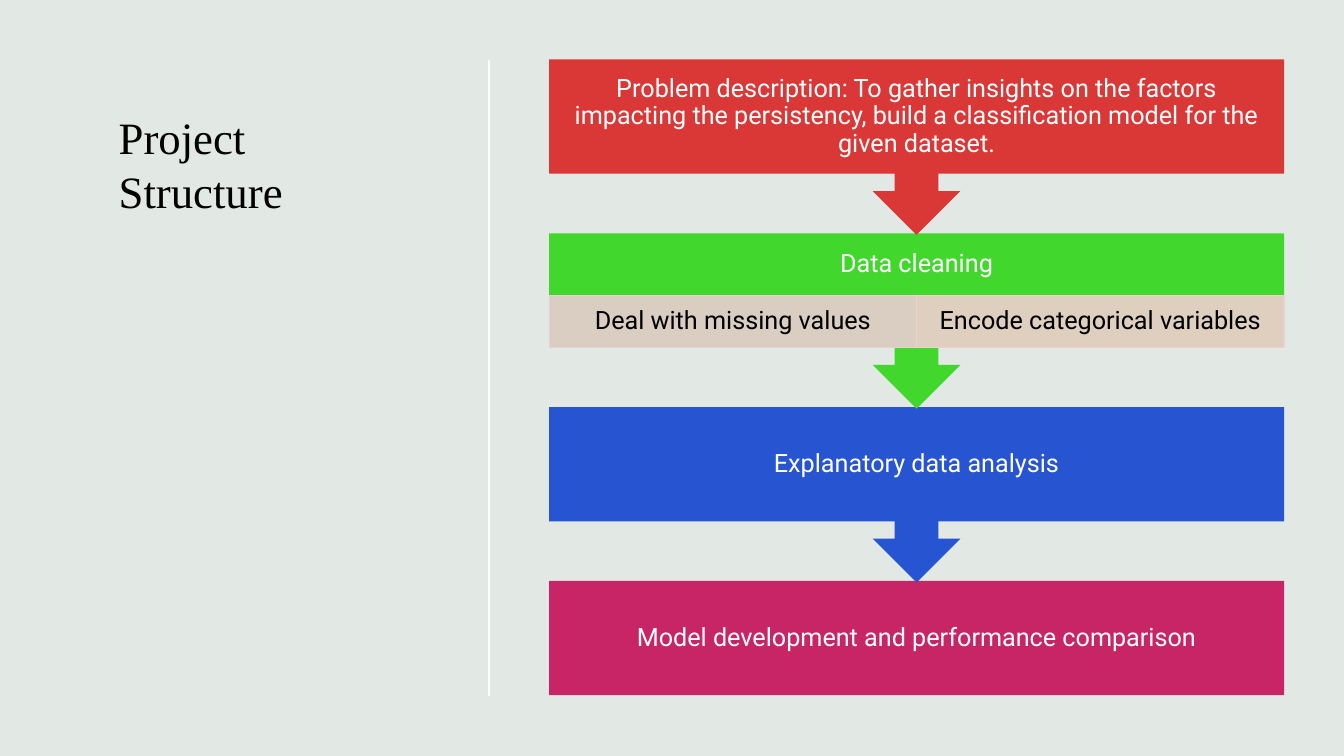
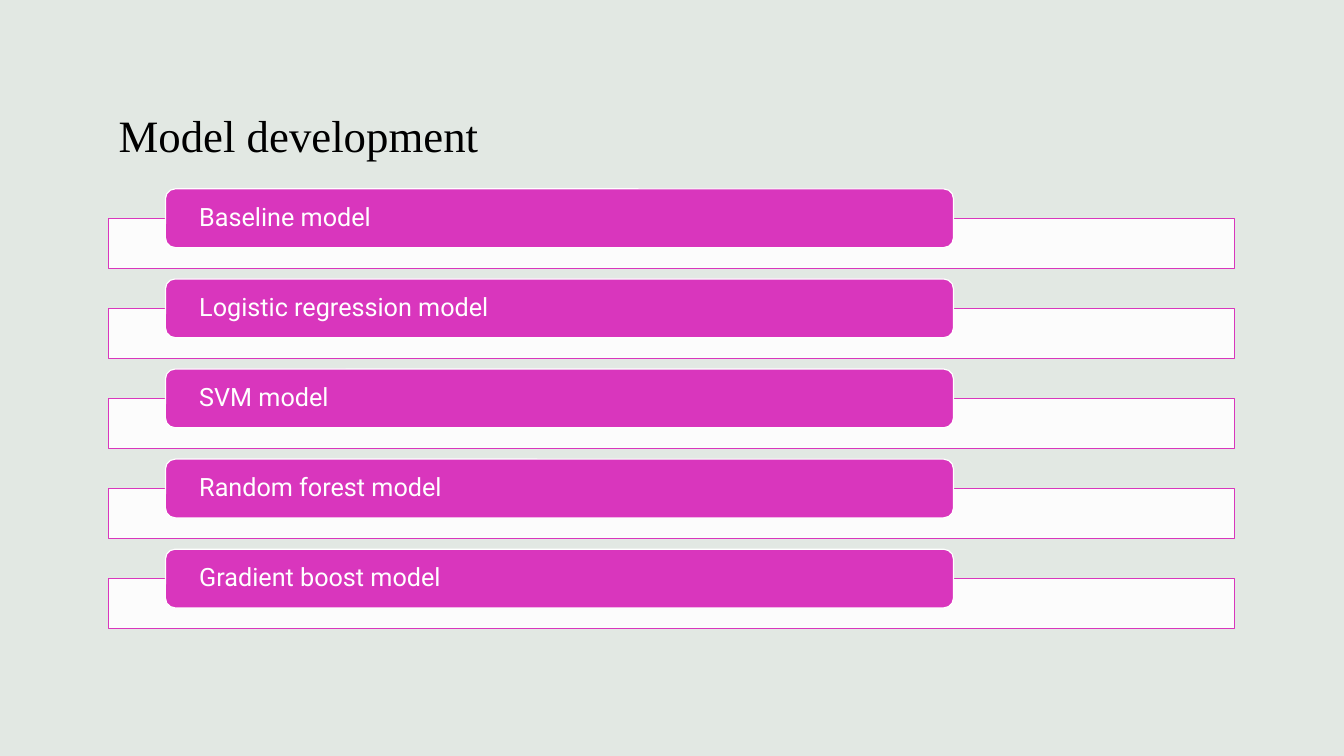
from lxml.etree import SubElement
from pptx import Presentation
from pptx.dml.color import RGBColor
from pptx.enum.shapes import MSO_CONNECTOR, MSO_SHAPE as Preset
from pptx.enum.text import MSO_ANCHOR as Anchor, PP_ALIGN as Align
from pptx.oxml.ns import qn
from pptx.util import Cm, Pt

BACKGROUND = RGBColor(0xE2, 0xE8, 0xE3)
WHITE = RGBColor(0xFF, 0xFF, 0xFF)
BLACK = RGBColor(0x00, 0x00, 0x00)
RED = RGBColor(0xD9, 0x38, 0x36)
GREEN = RGBColor(0x42, 0xD7, 0x2C)
BLUE = RGBColor(0x27, 0x54, 0xD1)
CRIMSON = RGBColor(0xC8, 0x25, 0x67)
MAGENTA = RGBColor(0xD9, 0x36, 0xBD)
PALE_PINK = RGBColor(0xEB, 0xCD, 0xD3)
PALE_ROSE = RGBColor(0xF1, 0xCF, 0xCE)

TITLE_FONT = {"name": "Times New Roman", "size": Pt(32)}
BODY_FONT = {"name": "Roboto", "size": Pt(18)}


def set_values(target, values):
    for name, value in values.items():
        setattr(target, name, value)


class Deck:
    """Holds the presentation, its style and the current slide."""

    def __init__(self):
        self.presentation = Presentation()
        set_values(self.presentation, {"slide_width": Cm(33.87), "slide_height": Cm(19.05)})
        self.slide = None

    def new_slide(self):
        self.slide = self.presentation.slides.add_slide(self.presentation.slide_layouts[6])
        fill = self.slide.background.fill
        fill.solid()
        fill.fore_color.rgb = BACKGROUND

    def add_text(self, shape, text, font, color, frame, paragraph_format):
        set_values(shape.text_frame, {"word_wrap": True, **frame})
        paragraph = shape.text_frame.paragraphs[0]
        set_values(paragraph, paragraph_format)
        run = paragraph.add_run()
        run.text = text
        set_values(run.font, font)
        run.font.color.rgb = color

    def title(self, text, left, top, width, height, anchor=Anchor.TOP):
        box = self.slide.shapes.add_textbox(Cm(left), Cm(top), Cm(width), Cm(height))
        self.add_text(box, text, TITLE_FONT, BLACK, {"vertical_anchor": anchor}, {})

    def block(self, preset, left, top, width, height, color, outline=None,
              outline_width=0.85, opacity=100):
        shape = self.slide.shapes.add_shape(preset, Cm(left), Cm(top), Cm(width), Cm(height))
        shape.shadow.inherit = False
        shape.fill.solid()
        shape.fill.fore_color.rgb = color
        if outline is None:
            shape.line.fill.background()
        else:
            shape.line.color.rgb = outline
            shape.line.width = Pt(outline_width)
        if opacity < 100:
            fill_color = shape._element.spPr.find(qn("a:solidFill"))[0]
            SubElement(fill_color, qn("a:alpha"), val=str(opacity * 1000))
        return shape

    def label(self, shape, text, color=WHITE, align=Align.CENTER,
              side=0.36, above=0.36, below=0.36):
        frame = {"margin_left": Cm(side), "margin_right": Cm(side),
                 "margin_top": Cm(above), "margin_bottom": Cm(below),
                 "vertical_anchor": Anchor.MIDDLE}
        self.add_text(shape, text, BODY_FONT, color, frame,
                      {"alignment": align, "line_spacing": 0.9})

    def vertical_line(self, left, top, bottom):
        line = self.slide.shapes.add_connector(
            MSO_CONNECTOR.STRAIGHT, Cm(left), Cm(top), Cm(left), Cm(bottom))
        line.line.color.rgb = WHITE
        line.line.width = Pt(1)
        SubElement(line._element.spPr, qn("a:effectLst"))


def build_structure(deck):
    deck.new_slide()
    deck.title("Project Structure", 2.74, 2.64, 7.77, 13.03)
    deck.vertical_line(12.32, 1.5, 17.55)

    left, top, width, pitch = 13.84, 1.5, 18.52, 4.38
    box_height, callout_height, detail_height = 2.88, 4.42, 1.32
    steps = [
        ("Problem description: To gather insights on the factors impacting the "
         "persistency, build a classification model for the given dataset.", RED, []),
        ("Data cleaning", GREEN, [("Deal with missing values", PALE_PINK),
                                  ("Encode categorical variables", PALE_ROSE)]),
        ("Explanatory data analysis", BLUE, []),
        ("Model development and performance comparison", CRIMSON, []),
    ]
    # Built from the bottom up, so that each arrow tip lies over the next step.
    for index, (text, color, details) in reversed(list(enumerate(steps))):
        step_top = top + index * pitch
        if index == len(steps) - 1:
            step = deck.block(Preset.RECTANGLE, left, step_top, width, box_height, color)
        else:
            step = deck.block(Preset.DOWN_ARROW_CALLOUT, left, step_top, width,
                              callout_height, color)
            step.adjustments[3] = box_height / callout_height
        deck.label(step, text, below=0.36 + (detail_height if details else 0))

        for column, (detail, tint) in enumerate(details):
            detail_width = width / len(details)
            cell = deck.block(Preset.RECTANGLE, left + column * detail_width,
                              step_top + box_height - detail_height,
                              detail_width, detail_height, tint, tint, 0.75, opacity=90)
            deck.label(cell, detail, BLACK, above=0.08, below=0.08)


def build_models(deck):
    deck.new_slide()
    deck.title("Model development", 2.74, 1.09, 28.37, 3.1, Anchor.BOTTOM)

    models = ["Baseline model", "Logistic regression model", "SVM model",
              "Random forest model", "Gradient boost model"]
    for index, model in enumerate(models):
        top = 4.76 + index * 2.27
        deck.block(Preset.RECTANGLE, 2.74, top + 0.74, 28.37, 1.26, WHITE, MAGENTA, opacity=90)
        tab = deck.block(Preset.ROUNDED_RECTANGLE, 4.17, top, 19.86, 1.48, MAGENTA, WHITE)
        deck.label(tab, model, align=Align.LEFT, side=0.78, above=0, below=0)


def main():
    deck = Deck()
    build_structure(deck)
    build_models(deck)
    deck.presentation.save("out.pptx")


if __name__ == "__main__":
    main()
